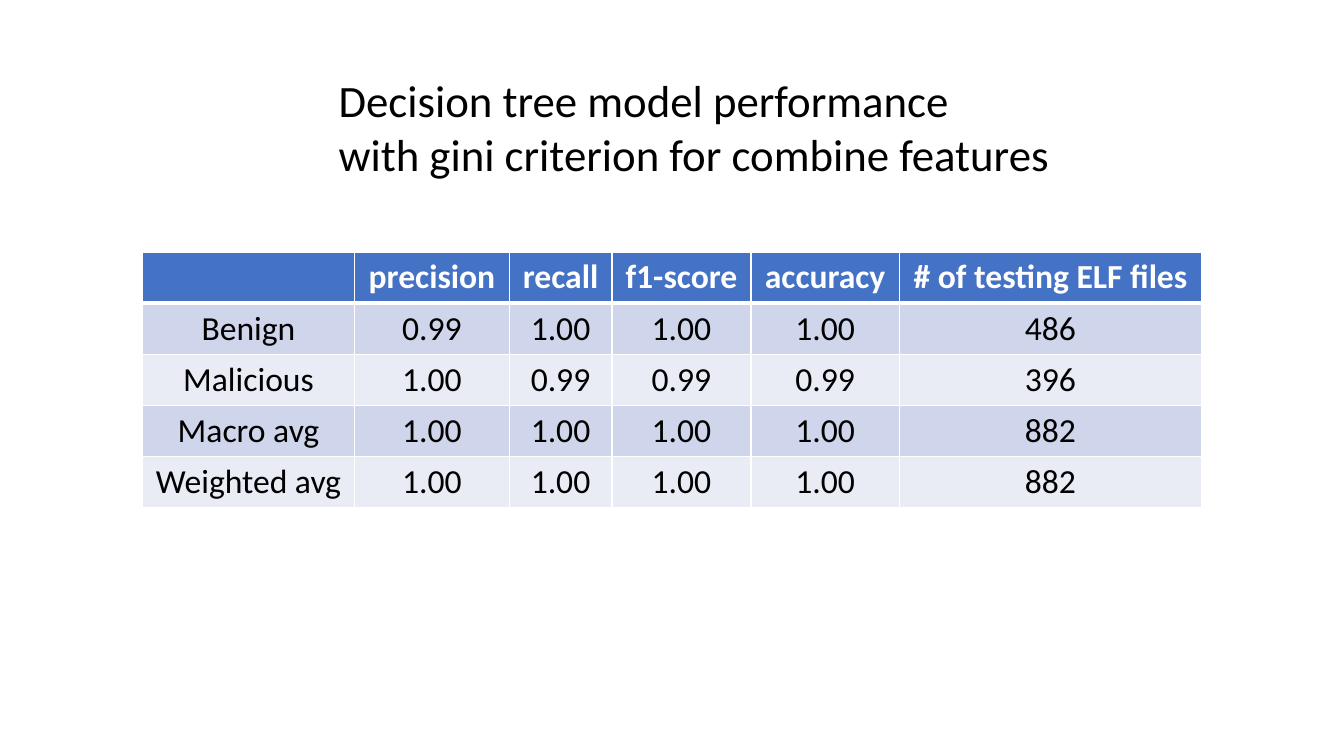
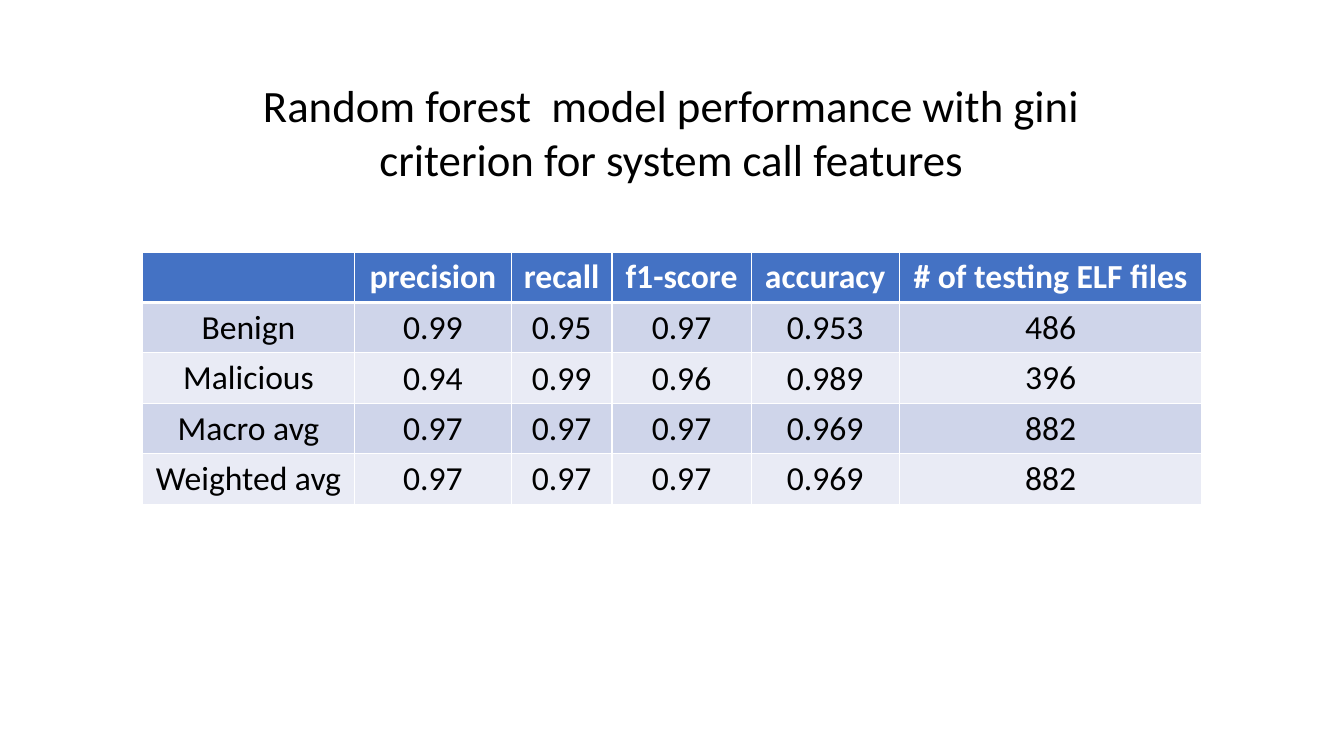
from lxml import etree
from pptx import Presentation
from pptx.dml.color import RGBColor
from pptx.enum import text
from pptx.oxml import ns

PX = 9144
SIZE = (1333, 750)
FONT = "Calibri"
HUES = {"head": "4472C4", "odd": "CFD5EA", "even": "E9EBF5",
        "line": "FFFFFF", "light": "FFFFFF", "ink": "000000"}
HEADS = ["", "precision", "recall", "f1-score", "accuracy", "# of testing ELF files"]
NAMES = ["Benign", "Malicious", "Macro avg", "Weighted avg"]
COUNTS = ["486", "396", "882", "882"]
LEFT, TOP, ROW = 141, 250, 50

SLIDES = [
    {"title": ["Decision tree model performance",
               "with gini criterion for combine features"],
     "box": (326, 67, 743, 118), "wrap": False, "align": text.PP_ALIGN.LEFT,
     "cols": [211, 153, 102, 138, 147, 300], "tight": False,
     "scores": [["0.99", "1.00", "1.00", "1.00"],
                ["1.00", "0.99", "0.99", "0.99"],
                ["1.00", "1.00", "1.00", "1.00"],
                ["1.00", "1.00", "1.00", "1.00"]]},
    {"title": ["Random forest  model performance with gini criterion for system call features"],
     "box": (233, 72, 866, 118), "wrap": True, "align": text.PP_ALIGN.CENTER,
     "cols": [211, 155, 100, 138, 147, 300], "tight": True,
     "scores": [["0.99", "0.95", "0.97", "0.953"],
                ["0.94", "0.99", "0.96", "0.989"],
                ["0.97", "0.97", "0.97", "0.969"],
                ["0.97", "0.97", "0.97", "0.969"]]},
]


def scale(*nums):
    return [n * PX for n in nums]


def style(para, size, hue, align, bold=False):
    para.alignment = align
    font = para.font
    font.name, font.size, font.bold = FONT, size * 12700, bold
    font.color.rgb = RGBColor.from_string(HUES[hue])


def edge(cell, row):
    props = cell._tc.get_or_add_tcPr()
    thick = {(0, "B"), (1, "T")}
    for side in "LRTB":
        width = 3 if (row, side) in thick else 1
        line = etree.SubElement(props, ns.qn("a:ln" + side), w=str(width * 12700))
        fill = etree.SubElement(line, ns.qn("a:solidFill"))
        etree.SubElement(fill, ns.qn("a:srgbClr"), val=HUES["line"])


def add_title(slide, data):
    frame = slide.shapes.add_textbox(*scale(*data["box"])).text_frame
    frame.word_wrap = data["wrap"]
    frame.auto_size = text.MSO_AUTO_SIZE.SHAPE_TO_FIT_TEXT
    frame.text = "\n".join(data["title"])
    for para in frame.paragraphs:
        style(para, 32, "ink", data["align"])


def add_grid(slide, data):
    rows = [HEADS] + [[name, *marks, count] for name, marks, count
                      in zip(NAMES, data["scores"], COUNTS)]
    cols = data["cols"]
    area = scale(LEFT, TOP, sum(cols), ROW * len(rows))
    table = slide.shapes.add_table(len(rows), len(cols), *area).table
    for col, width in zip(table.columns, cols):
        col.width = width * PX
    for r, row in enumerate(rows):
        hue = "head" if r == 0 else ("even", "odd")[r % 2]
        for c, word in enumerate(row):
            cell = table.cell(r, c)
            cell.text = word
            cell.vertical_anchor = text.MSO_ANCHOR.MIDDLE
            if data["tight"] and r and 0 < c < len(cols) - 1:
                cell.margin_left = cell.margin_top = cell.margin_right = PX
                cell.margin_bottom = 0
            edge(cell, r)
            cell.fill.solid()
            cell.fill.fore_color.rgb = RGBColor.from_string(HUES[hue])
            style(cell.text_frame.paragraphs[0], 24, "ink" if r else "light",
                  text.PP_ALIGN.CENTER, r == 0)


def main():
    deck = Presentation()
    deck.slide_width, deck.slide_height = scale(*SIZE)
    for data in SLIDES:
        slide = deck.slides.add_slide(deck.slide_layouts[6])
        add_grid(slide, data)
        add_title(slide, data)
    deck.save("out.pptx")


if __name__ == "__main__":
    main()
